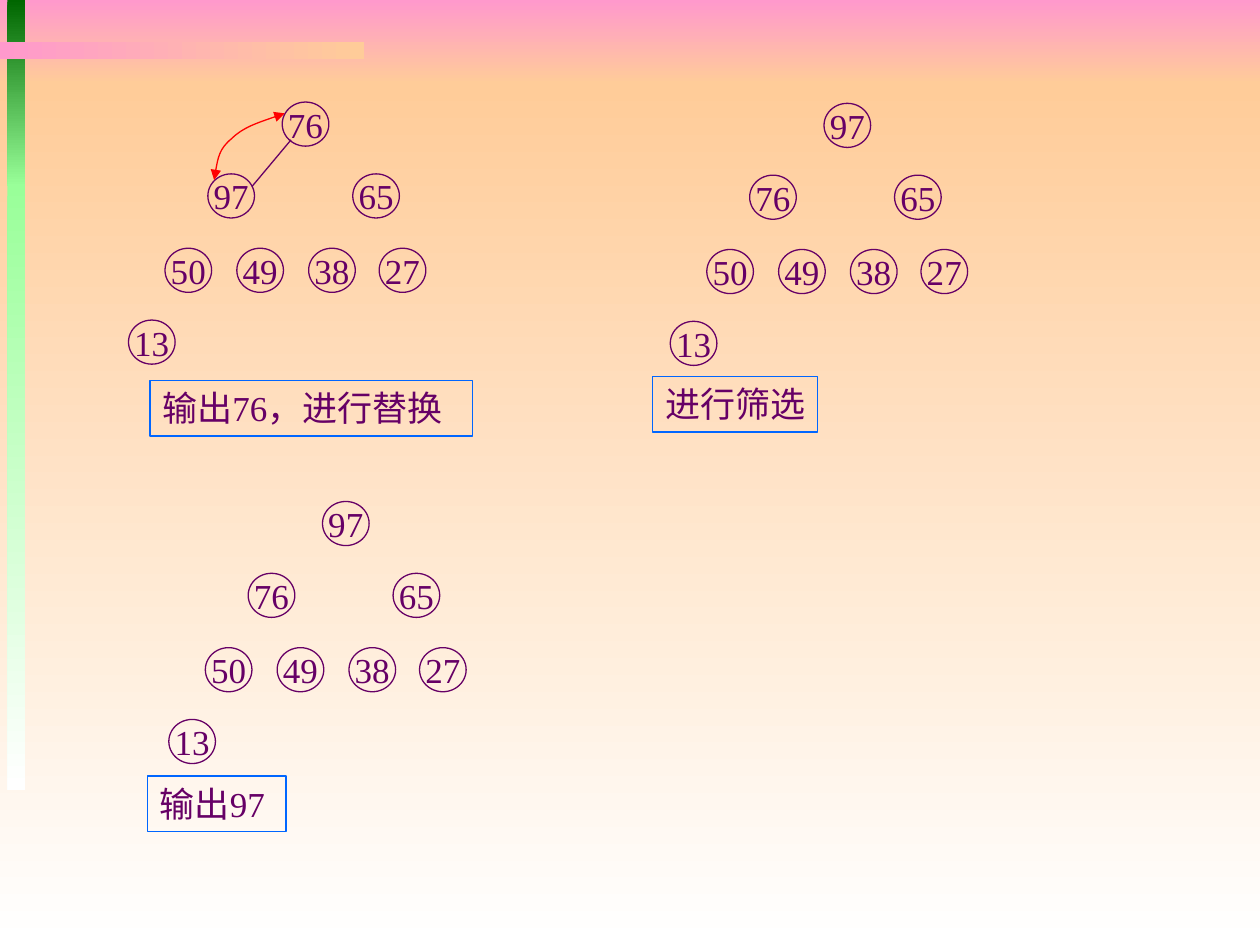
"""Build a slide showing three heap states during a heap sort."""
from lxml.etree import SubElement
from pptx import Presentation
from pptx.dml.color import RGBColor
from pptx.enum.shapes import MSO_CONNECTOR, MSO_SHAPE
from pptx.enum.text import MSO_ANCHOR, MSO_AUTO_SIZE, PP_ALIGN
from pptx.oxml.ns import qn
from pptx.util import Inches, Pt

PURPLE, BLUE, RED = "660066", "0066FF", "FF0000"
FONT = "Times New Roman"
NODE_W, NODE_H, LABEL_H = 0.37, 0.35, 0.44

BANDS = [
    ((0, 0, 10, 0.67), "FF99CC", "FFCC99", 270),
    ((0, 0.67, 10, 6.83), "FFCC99", "FFFFFF", 270),
    ((0.06, 0, 0.14, 1.48), "006600", "99FF99", 270),
    ((0.06, 1.46, 0.14, 4.81), "99FF99", "FFFFFF", 270),
    ((0, 0.33, 2.89, 0.14), "FF99CC", "FFCC99", 0),
]
NODE_OFFSETS = [(0, 0), (-0.59, 0.57), (0.56, 0.57), (-0.93, 1.16),
                (-0.36, 1.16), (0.21, 1.16), (0.77, 1.16), (-1.22, 1.73)]
HEAPS = [
    {"root": (2.24, 0.81), "keys": [76, 97, 65, 50, 49, 38, 27, 13],
     "label": "输出76，进行替换", "label_at": (1.19, 3.02), "label_w": 2.56,
     "edges": [((2.31, 1.11), (2, 1.48))]},
    {"root": (6.54, 0.82), "keys": [97, 76, 65, 50, 49, 38, 27, 13],
     "label": "进行筛选", "label_at": (5.18, 2.99), "label_w": 1.31, "edges": []},
    {"root": (2.56, 3.98), "keys": [97, 76, 65, 50, 49, 38, 27, 13],
     "label": "输出97", "label_at": (1.17, 6.16), "label_w": 1.1, "edges": []},
]
SWAP_CURVE = [(2.26, 0.9), (2.09, 0.96), (1.93, 1.01), (1.84, 1.1),
              (1.74, 1.18), (1.72, 1.3), (1.7, 1.43)]


def rgb(color):
    return RGBColor.from_string(color)


def set_line(sp, color):
    sp.line.color.rgb = rgb(color)
    sp.line.width = Pt(0.75)


def add_band(shapes, box, start, end, angle):
    sp = shapes.add_shape(MSO_SHAPE.RECTANGLE, *map(Inches, box))
    sp.shadow.inherit = False
    sp.line.fill.background()
    sp.fill.gradient()
    sp.fill.gradient_angle = angle
    for stop, color, position in zip(sp.fill.gradient_stops, (start, end), (0, 1)):
        stop.color.rgb = rgb(color)
        stop.position = position


def add_text_shape(shapes, kind, box, text, line, align, anchor):
    sp = shapes.add_shape(kind, *map(Inches, box))
    sp.shadow.inherit = False
    sp.fill.background()
    set_line(sp, line)
    tf = sp.text_frame
    tf.text = text
    tf.word_wrap = False
    tf.vertical_anchor = anchor
    p = tf.paragraphs[0]
    p.alignment = align
    font = p.runs[0].font
    font.name, font.size, font.color.rgb = FONT, Pt(20), rgb(PURPLE)
    return sp


def add_heap(shapes, heap):
    group = shapes.add_group_shape().shapes
    x, y = heap["root"]
    for key, (dx, dy) in zip(heap["keys"], NODE_OFFSETS):
        add_text_shape(group, MSO_SHAPE.OVAL, (x + dx, y + dy, NODE_W, NODE_H),
                       str(key), PURPLE, PP_ALIGN.CENTER, MSO_ANCHOR.MIDDLE)
    for start, end in heap["edges"]:
        edge = group.add_connector(MSO_CONNECTOR.STRAIGHT, *map(Inches, start + end))
        set_line(edge, PURPLE)
        SubElement(edge._element.spPr, qn("a:effectLst"))
    label = add_text_shape(group, MSO_SHAPE.RECTANGLE,
                           (*heap["label_at"], heap["label_w"], LABEL_H),
                           heap["label"], BLUE, PP_ALIGN.LEFT, MSO_ANCHOR.TOP)
    label.text_frame.auto_size = MSO_AUTO_SIZE.SHAPE_TO_FIT_TEXT


def add_swap_arrow(shapes, points):
    start, *rest = [(Inches(x), Inches(y)) for x, y in points]
    builder = shapes.build_freeform(*start)
    builder.add_line_segments(rest, close=False)
    sp = builder.convert_to_shape()
    sp.shadow.inherit = False
    sp.fill.background()
    set_line(sp, RED)
    segments = list(sp._element.iter(qn("a:lnTo")))
    for i in range(0, len(segments), 3):
        curve = SubElement(segments[i].getparent(), qn("a:cubicBezTo"))
        for segment in segments[i:i + 3]:
            curve.append(segment[0])
            segment.getparent().remove(segment)
    ln = sp.line._get_or_add_ln()
    for end in ("a:headEnd", "a:tailEnd"):
        SubElement(ln, qn(end), type="triangle")


def main():
    prs = Presentation()
    prs.slide_width, prs.slide_height = Inches(10), Inches(7.5)
    s = prs.slides.add_slide(prs.slide_layouts[6])
    for band in BANDS:
        add_band(s.shapes, *band)
    for heap in HEAPS:
        add_heap(s.shapes, heap)
    add_swap_arrow(s.shapes, SWAP_CURVE)
    prs.save("out.pptx")


if __name__ == "__main__":
    main()
